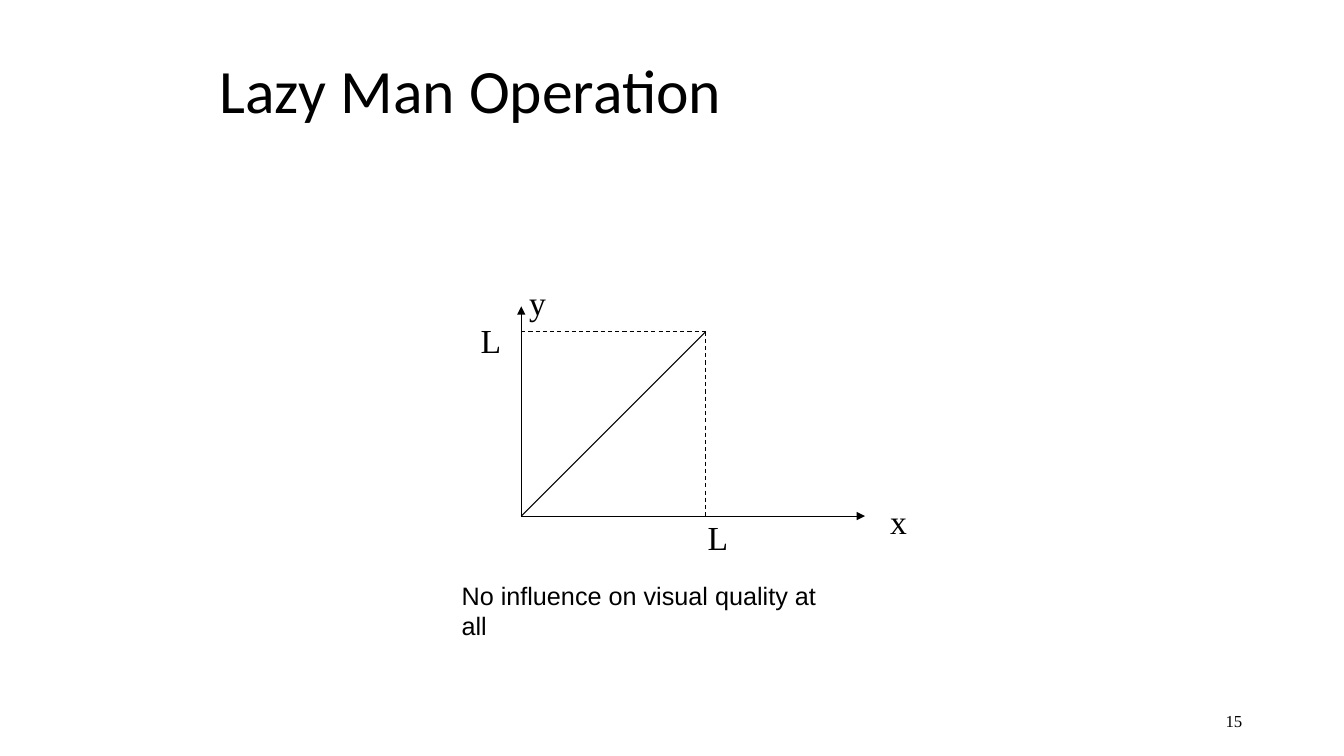
from dataclasses import dataclass

from pptx import Presentation
from pptx.dml.color import RGBColor
from pptx.enum.dml import MSO_LINE
from pptx.enum.shapes import MSO_CONNECTOR
from pptx.enum.text import MSO_ANCHOR, PP_ALIGN
from pptx.oxml.ns import qn
from pptx.util import Inches, Pt
from lxml.etree import SubElement


@dataclass(frozen=True)
class Theme:
    ink: RGBColor = RGBColor(0, 0, 0)
    paper: RGBColor = RGBColor(255, 255, 255)
    title_font: str = "Calibri"
    label_font: str = "Times New Roman"
    note_font: str = "Arial"
    title_size: int = 44
    label_size: int = 24
    note_size: int = 18
    number_size: int = 12
    line_width: float = 0.75


THEME = Theme()


def add_text(s, box, text, font, size, anchor=MSO_ANCHOR.TOP,
             align=PP_ALIGN.LEFT, wrap=False):
    tf = s.shapes.add_textbox(*map(Inches, box)).text_frame
    tf.word_wrap = wrap
    tf.vertical_anchor = anchor
    p = tf.paragraphs[0]
    p.text = text
    p.alignment = align
    p.font.name = font
    p.font.size = Pt(size)
    p.font.color.rgb = THEME.ink
    return p


def add_line(s, start, end, dash=None, arrow=False):
    line = s.shapes.add_connector(
        MSO_CONNECTOR.STRAIGHT, *map(Inches, (*start, *end)))
    line.line.color.rgb = THEME.ink
    line.line.width = Pt(THEME.line_width)
    if dash:
        line.line.dash_style = dash
    if arrow:
        SubElement(line.line._get_or_add_ln(), qn("a:tailEnd"), type="triangle")
    SubElement(line._element.spPr, qn("a:effectLst"))


def add_title(s, box, text):
    p = add_text(s, box, text, THEME.title_font, THEME.title_size,
                 anchor=MSO_ANCHOR.MIDDLE, wrap=True)
    p.line_spacing = 0.9


def add_page_number(s, box, number):
    add_text(s, box, number, THEME.label_font, THEME.number_size,
             anchor=MSO_ANCHOR.MIDDLE, align=PP_ALIGN.RIGHT, wrap=True)


def add_identity_graph(s, box, level):
    """Draw y = x up to the given level, with the axes filling the box."""
    left, top, width, height = box
    bottom = top + height
    origin = (left, bottom)
    peak = (left + level, bottom - level)

    # Axes
    add_line(s, origin, (left + width, bottom), arrow=True)
    add_line(s, origin, (left, top), arrow=True)

    # Mapping and its guides
    add_line(s, origin, peak)
    add_line(s, (left, peak[1]), peak, dash=MSO_LINE.DASH)
    add_line(s, peak, (peak[0], bottom), dash=MSO_LINE.DASH)

    # Labels, offset from the points they name
    labels = [
        ("L", peak[0] - 0.08, bottom - 0.04, 0.4),
        ("L", left - 0.5, peak[1] - 0.17, 0.4),
        ("x", left + width + 0.15, bottom - 0.2, 0.37),
        ("y", left - 0.02, top - 0.29, 0.37),
    ]
    for text, x, y, w in labels:
        add_text(s, (x, y, w, 0.5), text, THEME.label_font, THEME.label_size)


def add_note(s, box, text):
    add_text(s, box, text, THEME.note_font, THEME.note_size)


def main():
    prs = Presentation()
    prs.slide_width, prs.slide_height = Inches(13.33), Inches(7.5)
    s = prs.slides.add_slide(prs.slide_layouts[6])
    s.background.fill.solid()
    s.background.fill.fore_color.rgb = THEME.paper

    add_title(s, (2.08, 0.3, 9, 1.25), "Lazy Man Operation")
    add_identity_graph(s, (5.17, 3.04, 3.41, 2.08), level=1.83)
    add_note(s, (4.48, 5.71, 4.03, 0.4), "No influence on visual quality at all")
    add_page_number(s, (9.42, 6.95, 3, 0.4), "15")
    prs.save("out.pptx")


if __name__ == "__main__":
    main()
